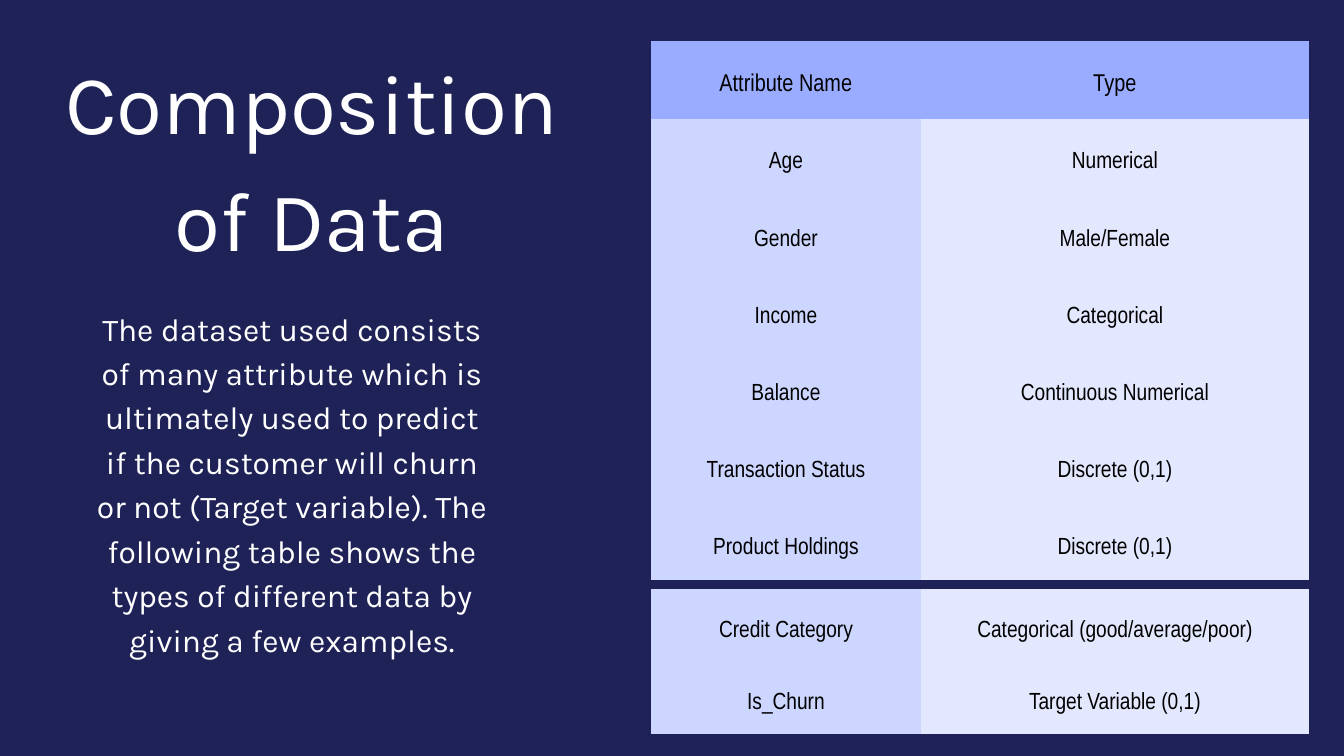
from dataclasses import dataclass

from lxml import etree
from pptx import Presentation
from pptx import util as u
from pptx.dml.color import RGBColor
from pptx.enum import text
from pptx.oxml import ns


@dataclass(frozen=True)
class Theme:
    back: str = "1E2257"
    head: str = "99ACFF"
    name: str = "CDD6FF"
    kind: str = "E3E8FF"
    dark: str = "000000"
    light: str = "FFFFFF"
    sans: str = "Karla"
    thin: str = "Arial Narrow"
    title: int = 90
    body: int = 34
    top: int = 26
    cell: int = 25
    lead: float = 1.4


@dataclass(frozen=True)
class Box:
    left: float
    top: float
    width: float
    height: float


@dataclass(frozen=True)
class Note:
    words: str
    box: Box
    size: int


@dataclass(frozen=True)
class Grid:
    left: float
    top: float
    rows: list[float]
    data: list[tuple[str, str]]
    head: bool


THEME = Theme()
WIDE, HIGH = u.Inches(20), u.Inches(11.25)
COLS = (20.05, 28.9)
INSET = u.Inches(0.21)


def across(share: float) -> int:
    return round(WIDE * share / 100)


def down(share: float) -> int:
    return round(HIGH * share / 100)


def style(frame, size: int, font: str, color: str) -> None:
    for para in frame.paragraphs:
        para.alignment = text.PP_ALIGN.CENTER
        para.line_spacing = u.Pt(size * THEME.lead)
        for run in para.runs:
            run.font.size = u.Pt(size)
            run.font.name = font
            run.font.color.rgb = RGBColor.from_string(color)


def add_note(slide, note: Note) -> None:
    box = note.box
    shape = slide.shapes.add_textbox(
        across(box.left), down(box.top), across(box.width), down(box.height)
    )
    frame = shape.text_frame
    frame.word_wrap = True
    frame.auto_size = text.MSO_AUTO_SIZE.SHAPE_TO_FIT_TEXT
    frame.margin_left = frame.margin_right = 0
    frame.margin_top = frame.margin_bottom = 0
    frame.text = note.words
    style(frame, note.size, THEME.sans, THEME.light)


def clear_edges(cell) -> None:
    props = cell._tc.get_or_add_tcPr()
    for side in ("lnL", "lnR", "lnT", "lnB"):
        line = etree.SubElement(props, ns.qn(f"a:{side}"), w="0")
        etree.SubElement(line, ns.qn("a:noFill"))


def fill_cell(cell, words: str, size: int, color: str) -> None:
    clear_edges(cell)
    cell.fill.solid()
    cell.fill.fore_color.rgb = RGBColor.from_string(color)
    cell.vertical_anchor = text.MSO_ANCHOR.MIDDLE
    cell.margin_left = cell.margin_right = INSET
    cell.margin_top = cell.margin_bottom = INSET
    cell.text_frame.text = words
    style(cell.text_frame, size, THEME.thin, THEME.dark)


def add_grid(slide, grid: Grid) -> None:
    table = slide.shapes.add_table(
        len(grid.data), len(COLS), across(grid.left), down(grid.top),
        across(sum(COLS)), down(sum(grid.rows)),
    ).table
    table.first_row = table.horz_banding = False
    for col, share in zip(table.columns, COLS):
        col.width = across(share)
    for row, share in zip(table.rows, grid.rows):
        row.height = down(share)
    for i, pair in enumerate(grid.data):
        top = grid.head and i == 0
        fills = (THEME.head, THEME.head) if top else (THEME.name, THEME.kind)
        size = THEME.top if top else THEME.cell
        for j, (words, color) in enumerate(zip(pair, fills)):
            fill_cell(table.cell(i, j), words, size, color)


GRIDS = [
    Grid(48.45, 5.42, [10.31] + [10.22] * 5 + [9.96], [
        ("Attribute Name", "Type"),
        ("Age", "Numerical"),
        ("Gender", "Male/Female"),
        ("Income", "Categorical"),
        ("Balance", "Continuous Numerical"),
        ("Transaction Status", "Discrete (0,1)"),
        ("Product Holdings", "Discrete (0,1)"),
    ], True),
    Grid(48.45, 77.96, [9.78, 9.33], [
        ("Credit Category", "Categorical (good/average/poor)"),
        ("Is_Churn", "Target Variable (0,1)"),
    ], False),
]

NOTES = [
    Note("Composition of Data", Box(3, 4.44, 40.4, 30.58), THEME.title),
    Note(
        "The dataset used consists of many attribute which is ultimately used "
        "to predict if the customer will churn or not (Target variable). The "
        "following table shows the types of different data by giving a few "
        "examples.",
        Box(6.8, 40.09, 29.85, 52.27), THEME.body,
    ),
]


def main() -> None:
    deck = Presentation()
    deck.slide_width, deck.slide_height = WIDE, HIGH
    slide = deck.slides.add_slide(deck.slide_layouts[6])
    slide.background.fill.solid()
    slide.background.fill.fore_color.rgb = RGBColor.from_string(THEME.back)
    for grid in GRIDS:
        add_grid(slide, grid)
    for note in NOTES:
        add_note(slide, note)
    deck.save("out.pptx")


if __name__ == "__main__":
    main()
